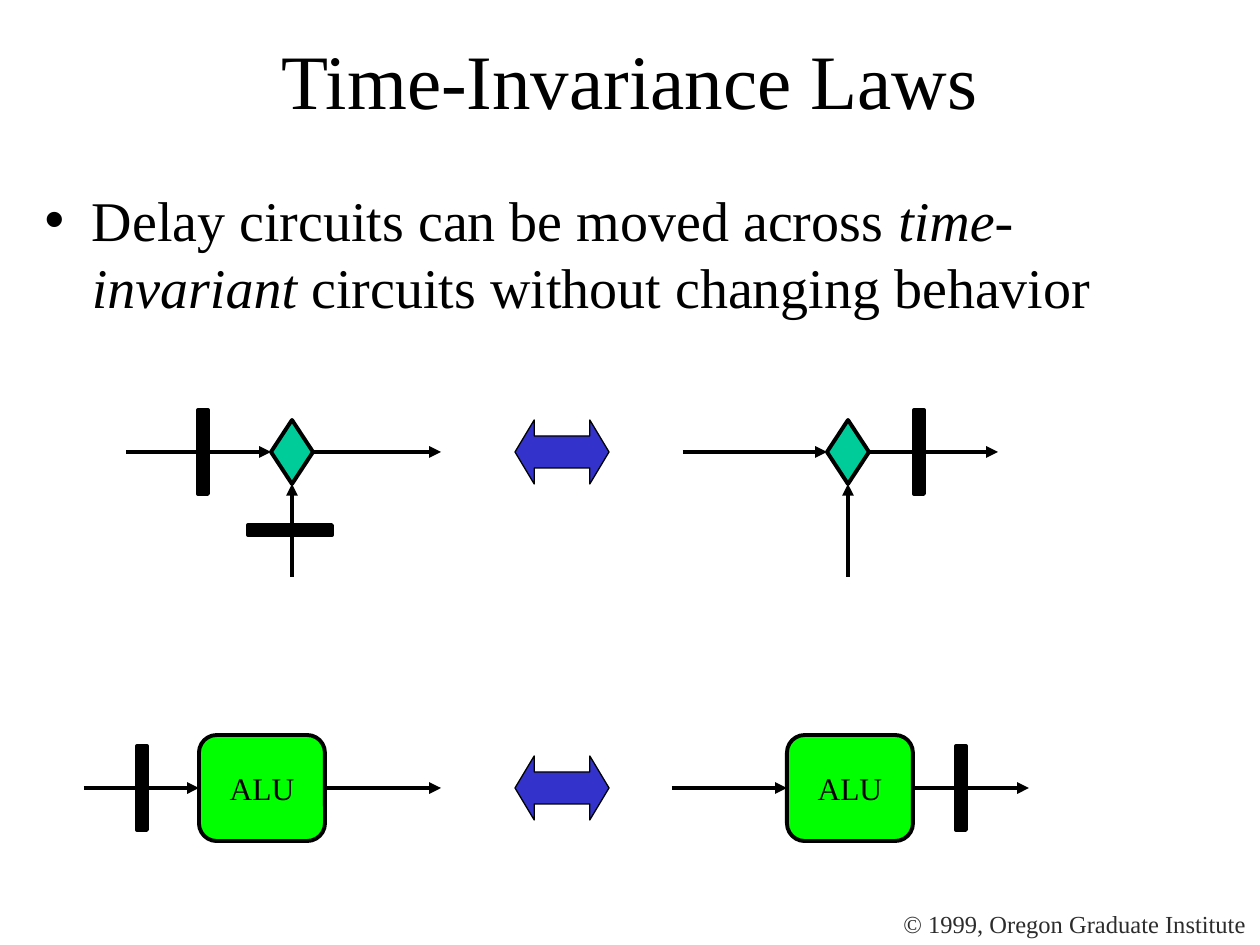
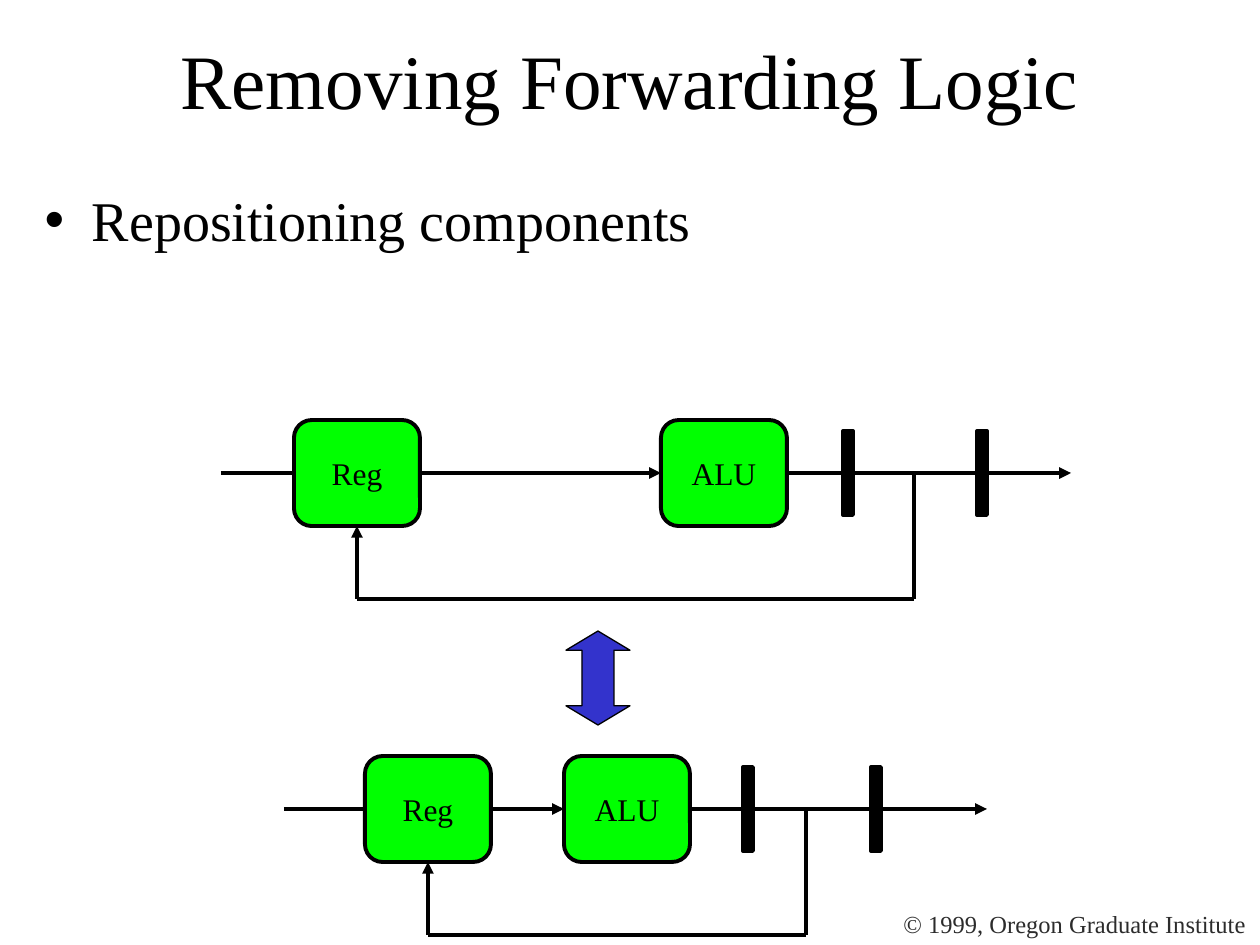
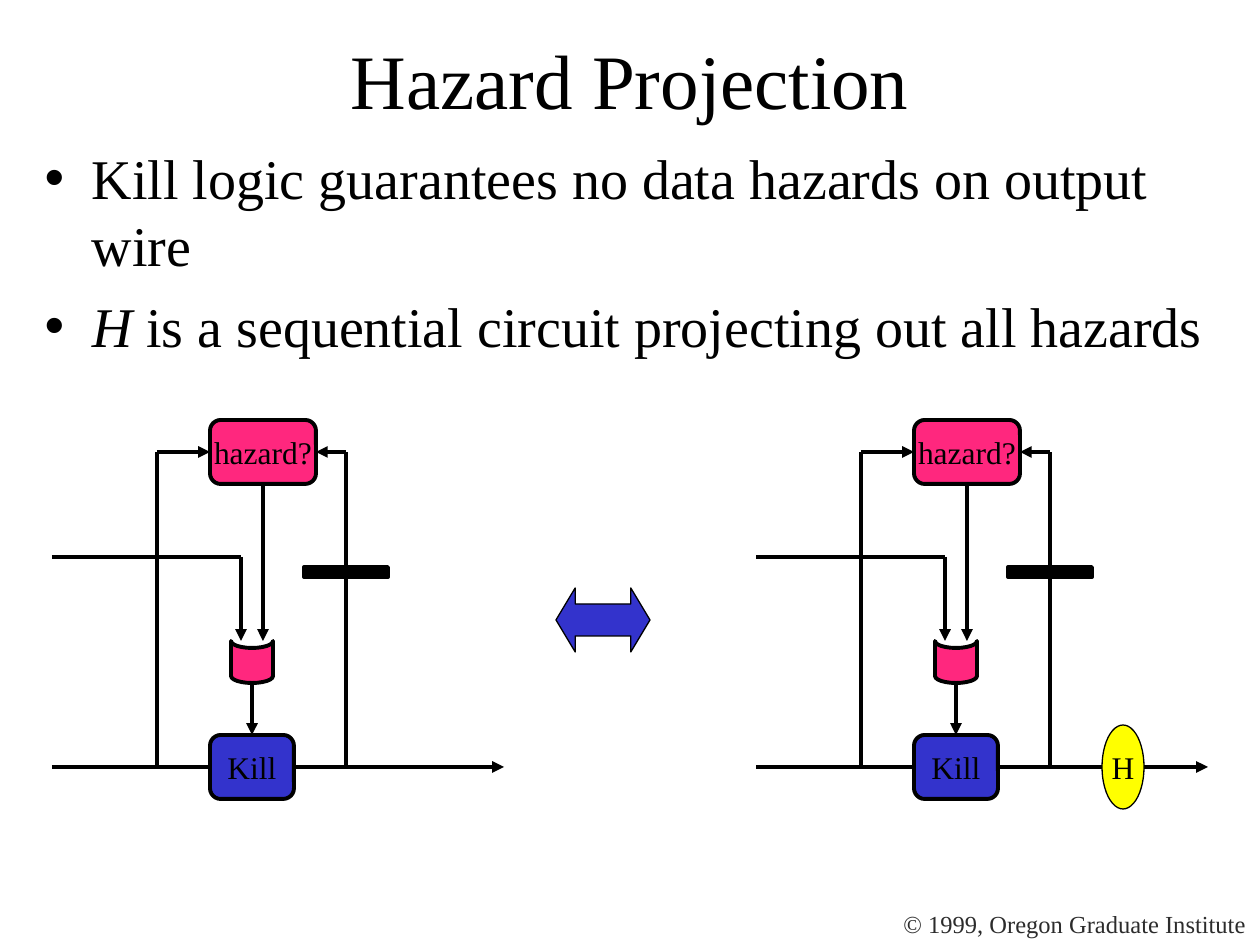
from lxml import etree
from pptx import Presentation
from pptx.dml.color import RGBColor
from pptx.enum.shapes import MSO_CONNECTOR, MSO_SHAPE
from pptx.enum.text import MSO_ANCHOR, MSO_AUTO_SIZE, PP_ALIGN
from pptx.oxml.ns import qn
from pptx.util import Emu, Inches, Pt

PX_PER_INCH = 126
FONT = "Times New Roman"
FOOTER = "© 1999, Oregon Graduate Institute"

BLACK = RGBColor(0x00, 0x00, 0x00)
GRAY = RGBColor(0x2C, 0x2C, 0x2C)
GREEN = RGBColor(0x01, 0xFF, 0x01)
TEAL = RGBColor(0x00, 0xCC, 0x99)
BLUE = RGBColor(0x33, 0x33, 0xCC)
PINK = RGBColor(0xFF, 0x27, 0x7E)
YELLOW = RGBColor(0xFF, 0xFF, 0x00)

RECTANGLE = MSO_SHAPE.RECTANGLE
ROUNDED = MSO_SHAPE.ROUNDED_RECTANGLE
DIAMOND = MSO_SHAPE.DIAMOND
OVAL = MSO_SHAPE.OVAL
GATE = MSO_SHAPE.FLOWCHART_STORED_DATA
DOUBLE_ARROW = MSO_SHAPE.LEFT_RIGHT_ARROW
STRAIGHT = MSO_CONNECTOR.STRAIGHT
CENTER = PP_ALIGN.CENTER
MIDDLE, TOP_ANCHOR = MSO_ANCHOR.MIDDLE, MSO_ANCHOR.TOP
NO_FIT, FIT_SHAPE = MSO_AUTO_SIZE.NONE, MSO_AUTO_SIZE.SHAPE_TO_FIT_TEXT

TOP, LEFT, BOTTOM, RIGHT = range(4)
THICK, THIN = 2.25, 0.75
UNIT_WIDTH, UNIT_HEIGHT = 126, 106


def px(*lengths):
    return [Emu(round(length * 914400 / PX_PER_INCH)) for length in lengths]


class Deck:
    def __init__(self):
        self.presentation = Presentation()
        self.presentation.slide_width = Inches(10)
        self.presentation.slide_height = Inches(7.5)
        self.slide = None

    def new_slide(self, title, body, body_box):
        layout = self.presentation.slide_layouts[1]
        self.slide = self.presentation.slides.add_slide(layout)
        self.footer()
        self.placeholder(0, (95, 0, 1070, 158), [[(title, False)]], 44, MIDDLE)
        self.placeholder(1, body_box, body, 32, TOP_ANCHOR)

    def style(self, paragraph, size, color=BLACK):
        paragraph.font.name = FONT
        paragraph.font.size = Pt(size)
        paragraph.font.color.rgb = color

    def footer(self):
        frame = self.slide.shapes.add_textbox(*px(891, 903, 368, 43)).text_frame
        frame.word_wrap = False
        frame.auto_size = FIT_SHAPE
        frame.text = FOOTER
        self.style(frame.paragraphs[0], 14, GRAY)

    def placeholder(self, index, box, paragraphs, size, anchor):
        """Fill a placeholder; each paragraph is a list of (text, italic)."""
        shape = self.slide.placeholders[index]
        shape.left, shape.top, shape.width, shape.height = px(*box)
        frame = shape.text_frame
        frame.auto_size = NO_FIT
        frame.vertical_anchor = anchor
        for number, pieces in enumerate(paragraphs):
            paragraph = frame.add_paragraph() if number else frame.paragraphs[0]
            paragraph.space_before = Pt(8 if number else 0)
            self.style(paragraph, size)
            for text, italic in pieces:
                run = paragraph.add_run()
                run.text = text
                if italic:
                    run.font.italic = True

    def shape(self, kind, box, fill, text="", line_width=THICK):
        shape = self.slide.shapes.add_shape(kind, *px(*box))
        shape.shadow.inherit = False
        shape.fill.solid()
        shape.fill.fore_color.rgb = fill
        shape.line.color.rgb = BLACK
        shape.line.width = Pt(line_width)
        if text:
            frame = shape.text_frame
            frame.word_wrap = False
            frame.vertical_anchor = MIDDLE
            frame.text = text
            frame.paragraphs[0].alignment = CENTER
            self.style(frame.paragraphs[0], 18)
        return shape

    def unit(self, left, y, text):
        """Draw a green unit centred on the wire at y."""
        box = (left, y - UNIT_HEIGHT // 2, UNIT_WIDTH, UNIT_HEIGHT)
        return self.shape(ROUNDED, box, GREEN, text)

    def delay(self, x, y, rotation=0):
        """Draw a delay bar centred at x, y."""
        bar = self.shape(RECTANGLE, (x - 5, y - 42, 10, 84), BLACK)
        bar.rotation = rotation

    def equivalence(self, x, y, rotation=0):
        """Draw the double arrow between two equal circuits."""
        box = (x - 47, y - 32, 94, 64)
        arrow = self.shape(DOUBLE_ARROW, box, BLUE, line_width=THIN)
        arrow.adjustments[0] = 0.5
        arrow.adjustments[1] = 0.3
        arrow.rotation = rotation

    def wire(self, start, end, arrow=True):
        """Join two ends, each an (x, y) point or a (shape, side) pair."""
        joined = [not isinstance(target[0], int) for target in (start, end)]
        first = (0, 0) if joined[0] else start
        last = (0, 0) if joined[1] else end
        connector = self.slide.shapes.add_connector(STRAIGHT, *px(*first, *last))
        if joined[0]:
            connector.begin_connect(*start)
        if joined[1]:
            connector.end_connect(*end)
        connector.line.color.rgb = BLACK
        connector.line.width = Pt(THICK)
        properties = connector.element.spPr
        if arrow:
            outline = properties.find(qn("a:ln"))
            etree.SubElement(outline, qn("a:tailEnd"), type="triangle")
        etree.SubElement(properties, qn("a:effectLst"))


def multiplexer(deck, start, center, end, y):
    diamond = deck.shape(DIAMOND, (center - 21, y - 32, 42, 64), TEAL)
    deck.wire((start, y), (diamond, LEFT))
    deck.wire((center, y + 125), (diamond, BOTTOM))
    deck.wire((diamond, RIGHT), (end, y))


def alu_stage(deck, start, left, end, y):
    alu = deck.unit(left, y, "ALU")
    deck.wire((start, y), (alu, LEFT))
    deck.wire((alu, RIGHT), (end, y))


def time_invariance_slide(deck):
    deck.new_slide(
        "Time-Invariance Laws",
        [[("Delay circuits can be moved across ", False),
          ("time-invariant", True),
          (" circuits without changing behavior", False)]],
        (32, 179, 1196, 158))
    y = 452
    multiplexer(deck, 126, 292, 441, y)
    multiplexer(deck, 683, 848, 998, y)
    deck.delay(203, y)
    deck.delay(290, 530, 270)
    deck.delay(919, y)
    deck.equivalence(562, y)

    y = 788
    alu_stage(deck, 84, 199, 441, y)
    alu_stage(deck, 672, 787, 1029, y)
    deck.delay(142, y)
    deck.delay(961, y)
    deck.equivalence(562, y)


def pipeline(deck, y, start, register_left, alu_left, delays, feedback, end):
    alu = deck.unit(alu_left, y, "ALU")
    deck.wire((start, y), (alu, LEFT))
    register = deck.unit(register_left, y, "Reg")
    deck.wire((alu, RIGHT), (end, y))
    for x in delays:
        deck.delay(x, y)
    register_center = register_left + UNIT_WIDTH // 2
    bottom = y + 126
    deck.wire((feedback, bottom), (feedback, y), arrow=False)
    deck.wire((register_center, bottom), (feedback, bottom), arrow=False)
    deck.wire((register_center, bottom), (register, BOTTOM))


def forwarding_slide(deck):
    deck.new_slide("Removing Forwarding Logic",
                   [[("Repositioning components", False)]],
                   (32, 179, 1196, 210))
    pipeline(deck, 473, 221, 294, 661, (848, 982), 914, 1071)
    pipeline(deck, 809, 284, 365, 564, (748, 876), 806, 987)
    deck.equivalence(598, 678, 270)


def kill_circuit(deck, x):
    """Draw the hazard check and kill logic with its left edge at x."""
    check_y, input_y, gate_top, output_y = 452, 557, 641, 767
    left_tap, right_tap, input_x = x + 105, x + 294, x + 189

    kill = deck.shape(ROUNDED, (x + 158, output_y - 32, 84, 64), BLUE, "Kill")
    deck.wire((x, output_y), (kill, LEFT), arrow=False)
    deck.wire((kill, RIGHT), (x + 452, output_y))

    hazard = deck.shape(ROUNDED, (x + 158, check_y - 32, 106, 64), PINK, "hazard?")
    for tap, side in ((left_tap, LEFT), (right_tap, RIGHT)):
        deck.wire((tap, output_y), (tap, check_y), arrow=False)
        deck.wire((tap, check_y), (hazard, side))
    deck.delay(right_tap, 572, 270)

    gate = deck.shape(GATE, (x + 179, gate_top, 42, 42), PINK)
    gate.rotation = 270
    deck.wire((x + 200, gate_top + 43), (kill, TOP))
    deck.wire((hazard, BOTTOM), (x + 211, gate_top))
    deck.wire((x, input_y), (input_x, input_y), arrow=False)
    deck.wire((input_x, input_y), (input_x, gate_top))


def hazard_slide(deck):
    deck.new_slide(
        "Hazard Projection",
        [[("Kill logic guarantees no data hazards on output wire", False)],
         [("H", True),
          (" is a sequential circuit projecting out all hazards", False)]],
        (32, 137, 1196, 294))
    for x in (52, 756):
        kill_circuit(deck, x)
    deck.shape(OVAL, (1102, 725, 42, 84), YELLOW, "H", THIN)
    deck.equivalence(603, 620)


def main():
    deck = Deck()
    time_invariance_slide(deck)
    forwarding_slide(deck)
    hazard_slide(deck)
    deck.presentation.save("out.pptx")


if __name__ == "__main__":
    main()
